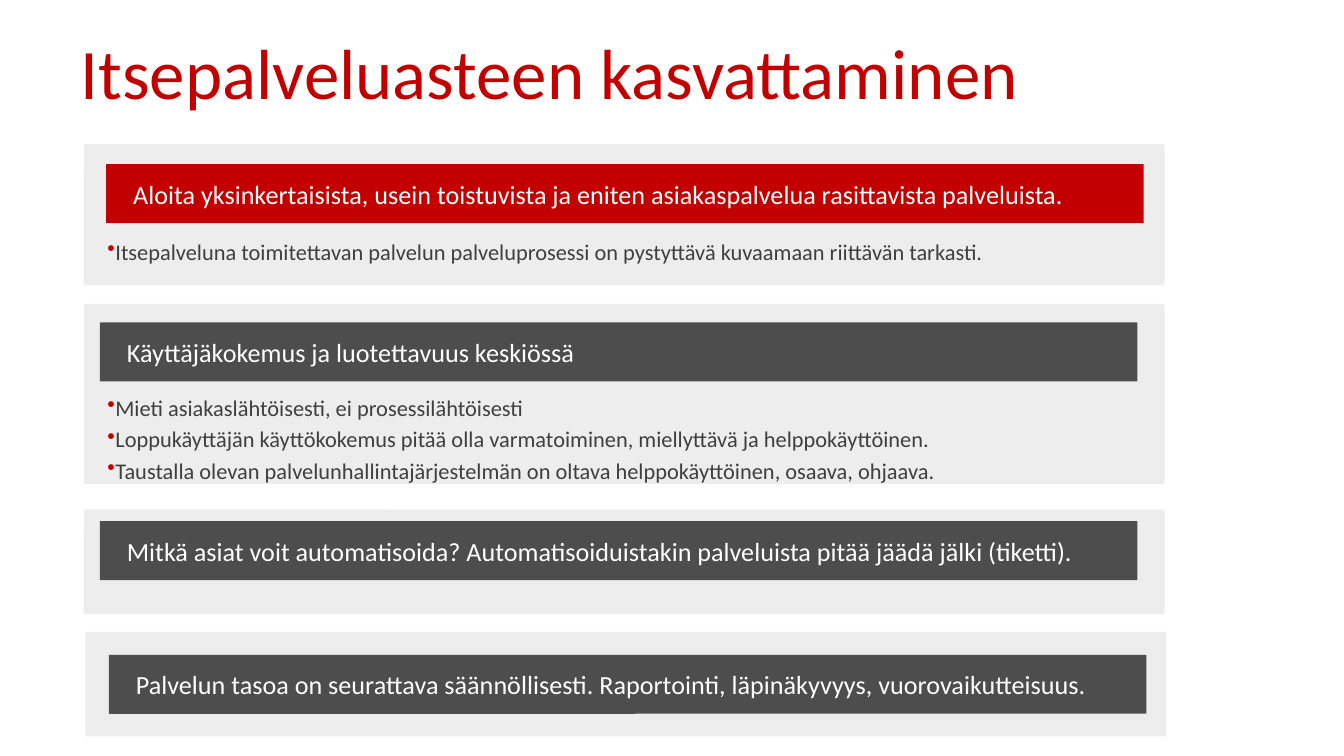
from lxml import etree
from pptx import Presentation
from pptx.dml.color import RGBColor
from pptx.enum.shapes import MSO_SHAPE
from pptx.enum.text import MSO_ANCHOR, MSO_AUTO_SIZE, PP_ALIGN
from pptx.oxml.ns import qn
from pptx.util import Pt

ROUND_RECT = MSO_SHAPE.ROUNDED_RECTANGLE
MIDDLE, TOP = MSO_ANCHOR.MIDDLE, MSO_ANCHOR.TOP
LEFT = PP_ALIGN.LEFT
RED, GRAY, PALE, INK, WHITE = "C30000", "4D4D4D", "EDEDED", "3F3F3F", "FFFFFF"

prs = Presentation()
prs.slide_width, prs.slide_height = Pt(720), Pt(405)
s = prs.slides.add_slide(prs.slide_layouts[5])


def add_text(sp, lines, size, color, left=7.2, anchor=MIDDLE, bullet=None, gap=0, leading=None):
    tf = sp.text_frame
    tf.word_wrap = True
    tf.auto_size = MSO_AUTO_SIZE.NONE
    tf.vertical_anchor = anchor
    tf.margin_left, tf.margin_right = Pt(left), Pt(7.2)
    tf.margin_top = tf.margin_bottom = Pt(3.6)
    for i, line in enumerate(lines):
        p = tf.add_paragraph() if i else tf.paragraphs[0]
        p.alignment = LEFT
        if bullet:
            pPr = p._p.get_or_add_pPr()
            pPr.set("marL", "0")
            pPr.set("indent", str(-Pt(11.5)))
            clr = etree.SubElement(pPr, qn("a:buClr"))
            etree.SubElement(clr, qn("a:srgbClr"), val=bullet)
            etree.SubElement(pPr, qn("a:buChar"), char="•")
        p.space_before = Pt(gap if i else 0)
        if leading:
            p.line_spacing = Pt(leading)
        r = p.add_run()
        r.text = line
        r.font.name, r.font.size = "Calibri", Pt(size)
        r.font.color.rgb = RGBColor.from_string(color)


def add_block(x, y, w, h, color, radius):
    sp = s.shapes.add_shape(ROUND_RECT, Pt(x), Pt(y), Pt(w), Pt(h))
    sp.adjustments[0] = radius
    sp.shadow.inherit = False
    sp.fill.solid()
    sp.fill.fore_color.rgb = RGBColor.from_string(color)
    sp.line.fill.background()
    return sp


# Title
title = s.shapes.title
title.left, title.top, title.width, title.height = Pt(36), Pt(18.7), Pt(630.7), Pt(46)
add_text(title, ["Itsepalveluasteen kasvattaminen"], 38, RED, leading=38)

# Cards: card x, y, height; header x, y, colour, text; bullets y, height, lines
cards = [
    (44.9, 77.2, 75.6, 56.9, 88, RED,
     "Aloita yksinkertaisista, usein toistuvista ja eniten asiakaspalvelua rasittavista palveluista.",
     123.8, 31, ["Itsepalveluna toimitettavan palvelun palveluprosessi on pystyttävä kuvaamaan riittävän tarkasti."]),
    (44.9, 162.8, 96.4, 53.5, 172.7, GRAY,
     "Käyttäjäkokemus ja luotettavuus keskiössä",
     207.4, 36, ["Mieti asiakaslähtöisesti, ei prosessilähtöisesti",
                 "Loppukäyttäjän käyttökokemus pitää olla varmatoiminen, miellyttävä ja helppokäyttöinen.",
                 "Taustalla olevan palvelunhallintajärjestelmän on oltava helppokäyttöinen, osaava, ohjaava."]),
    (44.9, 273, 56, 53.5, 279.2, GRAY,
     "Mitkä asiat voit automatisoida? Automatisoiduistakin palveluista pitää jäädä jälki (tiketti).",
     0, 0, []),
    (45.8, 338.5, 56, 58.3, 350.8, GRAY,
     "Palvelun tasoa on seurattava säännöllisesti. Raportointi, läpinäkyvyys, vuorovaikutteisuus.",
     0, 0, []),
]
for x, y, h, head_x, head_y, color, heading, list_y, list_h, lines in cards:
    add_block(x, y, 579, h, PALE, 0.01)
    header = add_block(head_x, head_y, 555.8, 31.6, color, 0.01)
    add_text(header, [heading], 14, WHITE, left=14.4)
    if lines:
        box = s.shapes.add_textbox(Pt(57.6), Pt(list_y), Pt(547.2), Pt(list_h))
        add_text(box, lines, 12, INK, left=0, anchor=TOP, bullet=RED, gap=2.5)

prs.save("out.pptx")
